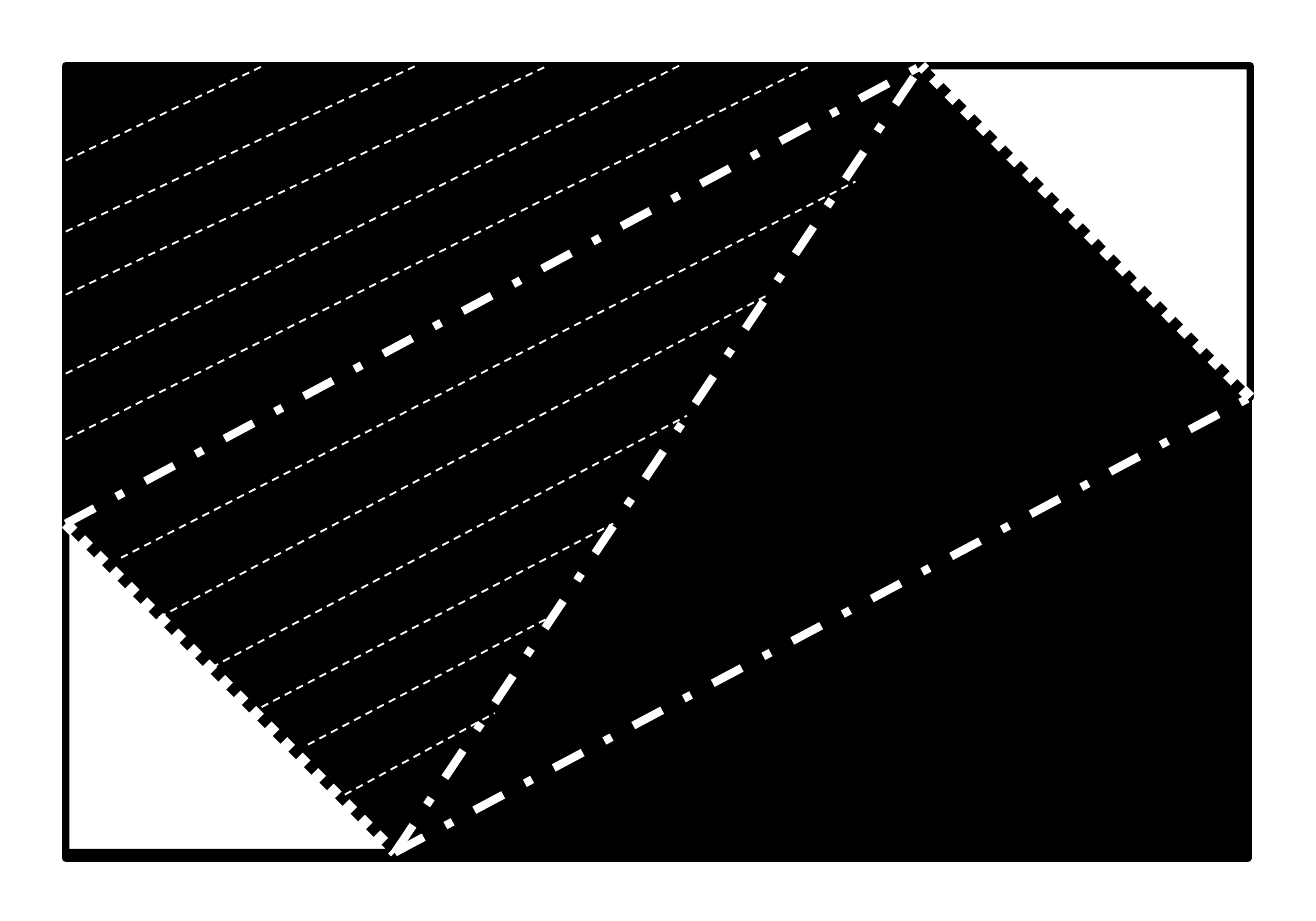
from lxml import etree
from pptx import Presentation
from pptx.dml.color import RGBColor
from pptx.enum.dml import MSO_LINE
from pptx.enum.shapes import MSO_CONNECTOR, MSO_SHAPE
from pptx.oxml.ns import qn
from pptx.util import Inches, Pt

PROCESS = MSO_SHAPE.FLOWCHART_PROCESS
TRIANGLE = MSO_SHAPE.RIGHT_TRIANGLE
STRAIGHT = MSO_CONNECTOR.STRAIGHT
DOT, DASH_DOT, DASH = MSO_LINE.ROUND_DOT, MSO_LINE.DASH_DOT, MSO_LINE.DASH
BLACK, WHITE = "000000", "FFFFFF"
LEFT, TOP, RIGHT, BOTTOM = 0.25, 0.25, 4.75, 3.24


def rgb(color):
    return RGBColor.from_string(color)


def add_line(start, end, width, dash):
    """Draw a white dashed line between two points given in inches."""
    s = shapes.add_connector(STRAIGHT, *[Inches(v) for v in (*start, *end)])
    s.line.color.rgb = rgb(WHITE)
    s.line.width = Pt(width)
    s.line.dash_style = dash
    etree.SubElement(s._element.spPr, qn("a:effectLst"))


prs = Presentation()
prs.slide_width, prs.slide_height = Inches(5), Inches(3.5)
shapes = prs.slides.add_slide(prs.slide_layouts[6]).shapes

# Black sheet with a white triangle in two opposite corners
for kind, box, rotation, fill, width in [
    (PROCESS, (LEFT, TOP, 4.49, 3.01), 0, BLACK, 2.25),
    (TRIANGLE, (3.5, TOP, 1.25, 1.26), 180, WHITE, 2),
    (TRIANGLE, (LEFT, 1.99, 1.25, 1.25), 0, WHITE, 2),
]:
    s = shapes.add_shape(kind, *[Inches(v) for v in box])
    s.rotation = rotation
    s.shadow.inherit = False
    s.fill.solid()
    s.fill.fore_color.rgb = rgb(fill)
    s.line.color.rgb = rgb(BLACK)
    s.line.width = Pt(width)

# Corners of the inner parallelogram
west, south = (LEFT, 1.99), (1.5, BOTTOM)
east, north = (RIGHT, 1.51), (3.5, TOP)

for start, end in [(west, south), (east, north)]:
    add_line(start, end, 3, DOT)
for start, end in [(west, north), (south, east), (south, north)]:
    add_line(start, end, 2.25, DASH_DOT)

# Hatching of the upper left corner, from the left edge to the top edge
for y, x in [(0.61, 1), (0.88, 1.58), (1.12, 2.08), (1.42, 2.58), (1.67, 3.08)]:
    add_line((LEFT, y), (x, TOP), 0.5, DASH)

# Hatching of the parallelogram's left half
for start, end in [
    ((0.46, 2.12), (3.25, 0.69)),
    ((0.56, 2.37), (2.92, 1.12)),
    ((0.76, 2.56), (2.61, 1.58)),
    ((0.95, 2.71), (2.33, 1.99)),
    ((1.17, 2.83), (2.08, 2.35)),
    ((1.31, 3.02), (1.88, 2.71)),
]:
    add_line(start, end, 0.5, DASH)

prs.save("out.pptx")
